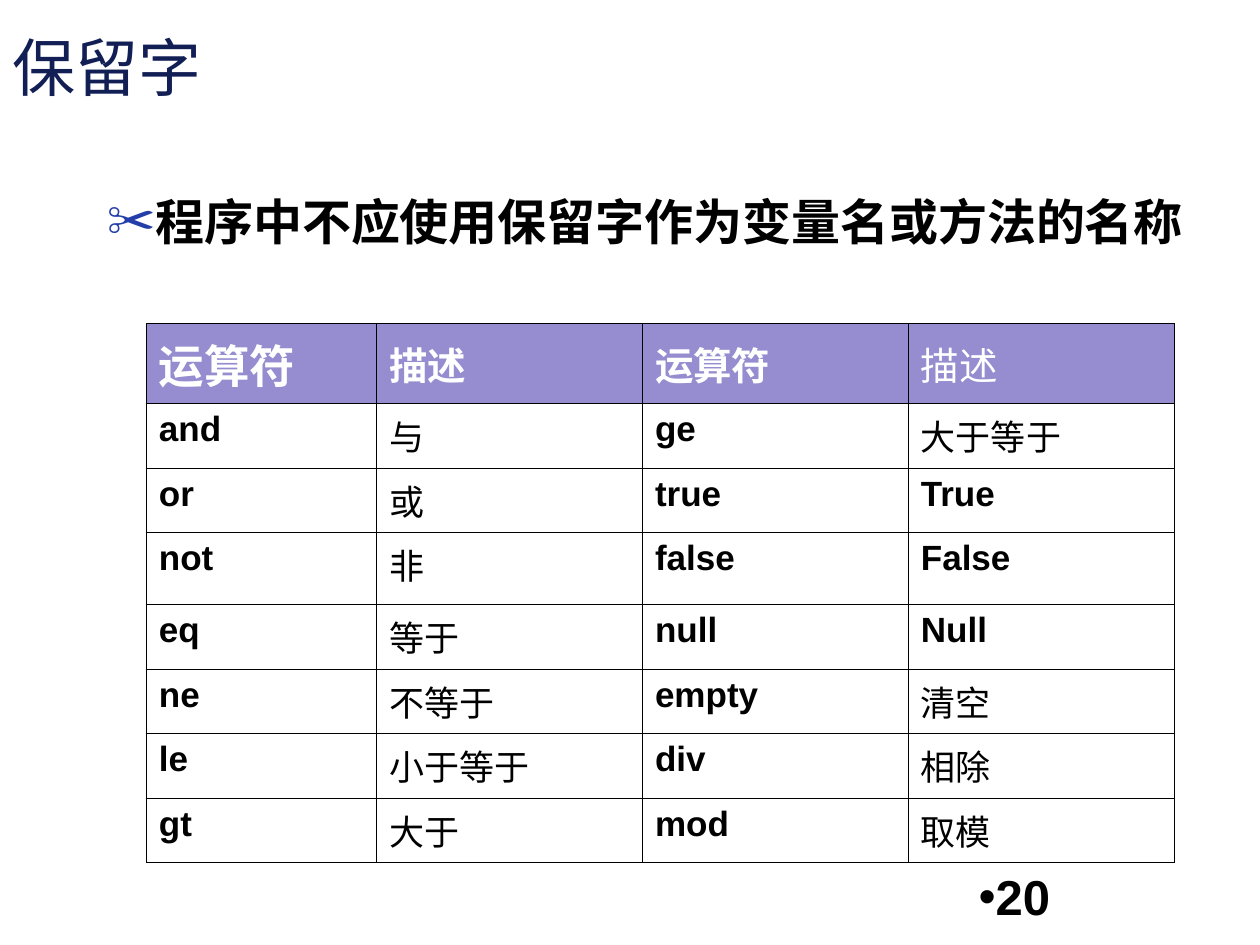
from pptx import Presentation
from pptx.dml.color import RGBColor
from pptx.enum import text
from pptx.oxml import parse_xml
from pptx.oxml.ns import nsdecls
from pptx.util import Cm, Pt

# Content
TITLE = "保留字"
RULE = "程序中不应使用保留字作为变量名或方法的名称"
PAGE = "20"
HEADER = ["运算符", "描述", "运算符", "描述"]
WORDS = [
    ("and", "与", "ge", "大于等于"),
    ("or", "或", "true", "True"),
    ("not", "非", "false", "False"),
    ("eq", "等于", "null", "Null"),
    ("ne", "不等于", "empty", "清空"),
    ("le", "小于等于", "div", "相除"),
    ("gt", "大于", "mod", "取模"),
]
COL_WIDTHS = [4.64, 5.36, 5.36, 5.36]
ROW_HEIGHTS = [1.61, 1.32, 1.29, 1.45, 1.31, 1.27, 1.31, 1.29]

# Formats
BLACK, WHITE, NAVY, BLUE, PURPLE = "000000", "FFFFFF", "121F55", "233DA9", "958DCF"


def color(value):
    return RGBColor.from_string(value)


def write(tf, words, hue, **font):
    """Put one left-aligned paragraph in a text frame."""
    p = tf.paragraphs[0]
    p.alignment = text.PP_ALIGN.LEFT
    r = p.add_run()
    r.text = words
    for name, value in {"name": "Arial", **font}.items():
        setattr(r.font, name, value)
    r.font.color.rgb = color(hue)
    return p


def bullet(p, char, hue, indent):
    """Give a paragraph a coloured bullet and a hanging indent."""
    ppr = p._p.get_or_add_pPr()
    ppr.set("marL", str(Cm(indent)))
    ppr.set("indent", str(-Cm(indent)))
    for xml in (f'<a:buClr {nsdecls("a")}><a:srgbClr val="{hue}"/></a:buClr>',
                f'<a:buFont {nsdecls("a")} typeface="Arial"/>',
                f'<a:buChar {nsdecls("a")} char="{char}"/>'):
        ppr.append(parse_xml(xml))


def border(cell, hue, width):
    """Draw all four sides of a table cell."""
    tcpr = cell._tc.get_or_add_tcPr()
    for side in "LRTB":
        tcpr.append(parse_xml(
            f'<a:ln{side} {nsdecls("a")} w="{Pt(width)}"><a:solidFill>'
            f'<a:srgbClr val="{hue}"/></a:solidFill></a:ln{side}>'))


def place(sp, left, top, width, height):
    sp.left, sp.top, sp.width, sp.height = map(Cm, (left, top, width, height))
    sp.text_frame.word_wrap = True
    sp.text_frame.auto_size = text.MSO_AUTO_SIZE.NONE
    return sp.text_frame


prs = Presentation()
prs.slide_width, prs.slide_height = Cm(25.4), Cm(19.05)
s = prs.slides.add_slide(prs.slide_layouts[1])

# Title
tf = place(s.shapes.title, 0, 0.33, 25.4, 2)
tf.vertical_anchor = text.MSO_ANCHOR.MIDDLE
write(tf, TITLE, NAVY, size=Pt(36))

# Rule
tf = place(s.placeholders[1], 1.9, 3.73, 22.86, 12.57)
p = write(tf, RULE, BLACK, size=Pt(28), bold=True)
p.space_before = Pt(0)
bullet(p, "✂", BLUE, 0.96)

# Page number
tf = place(s.shapes.add_textbox(0, 0, 0, 0), 19.48, 17.35, 5.92, 1.27)
bullet(write(tf, PAGE, BLACK, size=Pt(28), bold=True), "•", BLACK, 0)

# Table of reserved words
rows = [HEADER, *WORDS]
table = s.shapes.add_table(len(rows), len(HEADER), Cm(2.95), Cm(6.52),
                           Cm(sum(COL_WIDTHS)), Cm(sum(ROW_HEIGHTS))).table
table.first_row = table.horz_banding = False
for column, width in zip(table.columns, COL_WIDTHS):
    column.width = Cm(width)
for row, height in zip(table.rows, ROW_HEIGHTS):
    row.height = Cm(height)

for i, row in enumerate(rows):
    for j, words in enumerate(row):
        cell = table.cell(i, j)
        border(cell, BLACK, 0.45)
        if i == 0:
            cell.fill.solid()
            cell.fill.fore_color.rgb = color(PURPLE)
            cell.vertical_anchor = text.MSO_ANCHOR.MIDDLE
            write(cell.text_frame, words, WHITE,
                  size=Pt(26 if j == 0 else 22), bold=j < 3)
        else:
            cell.fill.background()
            write(cell.text_frame, words, BLACK, size=Pt(20), bold=words.isascii())

prs.save("out.pptx")
